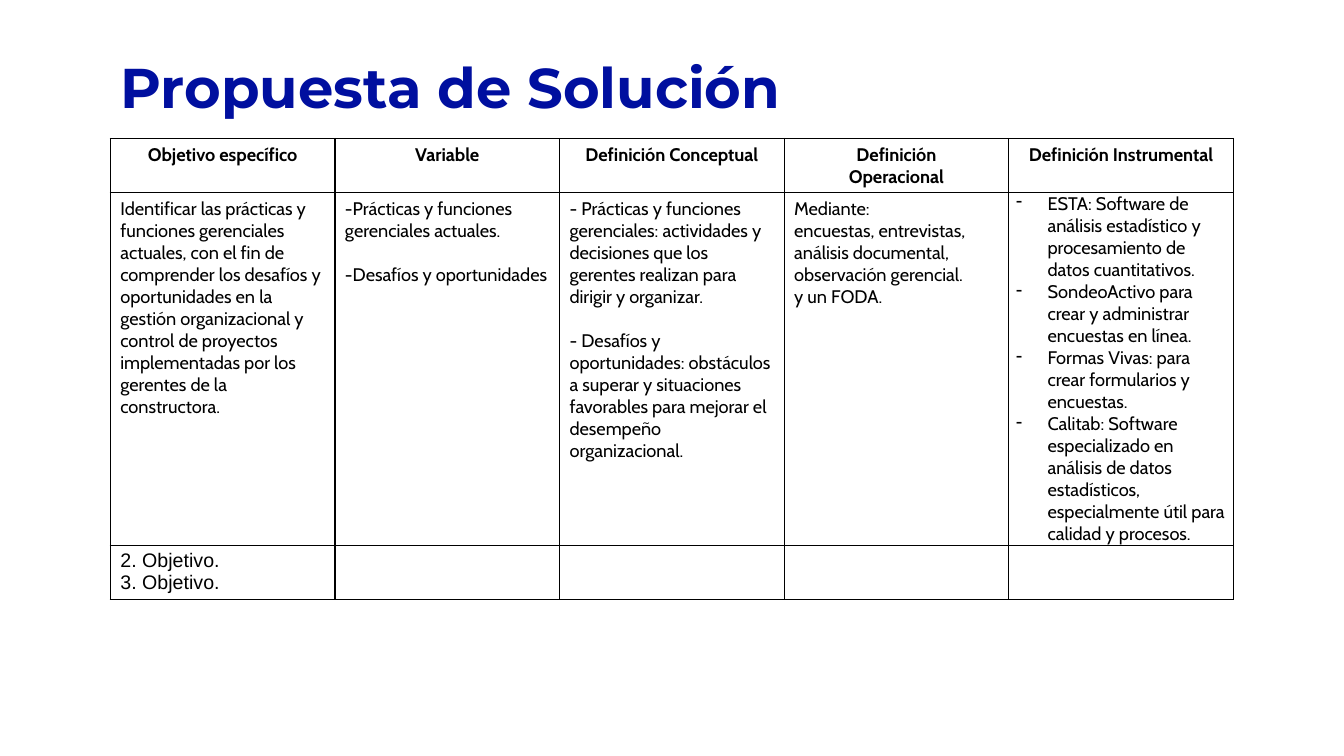
"""Build the slide "Propuesta de Solución" with its table of objectives and variables."""
from dataclasses import dataclass

from lxml.etree import SubElement
from pptx import Presentation
from pptx.dml.color import RGBColor
from pptx.enum.text import MSO_ANCHOR, MSO_AUTO_SIZE, PP_ALIGN
from pptx.oxml.ns import qn
from pptx.util import Cm, Pt


@dataclass(frozen=True)
class Theme:
    title_color: RGBColor = RGBColor(0x00, 0x0F, 0x9F)
    ink: RGBColor = RGBColor(0, 0, 0)
    title_font: str = "Montserrat"
    body_font: str = "Cabin"
    plain_font: str = "Arial"
    title_size: Pt = Pt(40)
    body_size: Pt = Pt(13)
    plain_size: Pt = Pt(14)
    item_gap: Pt = Pt(15.8)
    border: Pt = Pt(1)


theme = Theme()

ROWS = [
    [
        ["Objetivo específico"],
        ["Variable"],
        ["Definición Conceptual"],
        ["Definición", "Operacional"],
        ["Definición Instrumental"],
    ],
    [
        ["Identificar las prácticas y funciones gerenciales actuales, con el fin de "
         "comprender los desafíos y oportunidades en la gestión organizacional y control "
         "de proyectos implementadas por los gerentes de la constructora."],
        ["-Prácticas y funciones gerenciales actuales.", "-Desafíos y oportunidades"],
        ["- Prácticas y funciones gerenciales: actividades y decisiones que los gerentes "
         "realizan para dirigir y organizar.",
         "- Desafíos y oportunidades: obstáculos a superar y situaciones favorables para "
         "mejorar el desempeño organizacional."],
        ["Mediante:",
         "encuestas, entrevistas, análisis documental, observación gerencial.",
         "y un FODA."],
        ["ESTA: Software de análisis estadístico y procesamiento de datos cuantitativos.",
         "SondeoActivo para crear y administrar encuestas en línea.",
         "Formas Vivas: para crear formularios y encuestas.",
         "Calitab: Software especializado en análisis de datos estadísticos, "
         "especialmente útil para calidad y procesos."],
    ],
    [["2. Objetivo.", "3. Objetivo."], [], [], [], []],
]
ROW_HEIGHTS = [Cm(1.36), Cm(8.87), Cm(1.36)]
COLUMN_WIDTH = Cm(5.66)
HEADER, DETAIL, PENDING = range(3)
SPACED_COLUMNS = (1, 2)
TOOLS_COLUMN = 4


def add_borders(cell):
    """Draw the four sides of a table cell."""
    properties = cell._tc.get_or_add_tcPr()
    for side in ("lnL", "lnR", "lnT", "lnB"):
        line = SubElement(properties, qn(f"a:{side}"), w=str(theme.border))
        fill = SubElement(line, qn("a:solidFill"))
        SubElement(fill, qn("a:srgbClr"), val=str(theme.ink))


def add_dash(paragraph):
    """Give a paragraph a hanging dash."""
    properties = paragraph._p.get_or_add_pPr()
    properties.set("marL", str(Cm(0.79)))
    properties.set("indent", str(-Cm(0.79)))
    color = SubElement(properties, qn("a:buClr"))
    SubElement(color, qn("a:srgbClr"), val=str(theme.ink))
    SubElement(properties, qn("a:buChar"), char="-")


presentation = Presentation()
presentation.slide_width = Cm(33.87)
presentation.slide_height = Cm(19.05)
slide = presentation.slides.add_slide(presentation.slide_layouts[5])

title = slide.shapes.title
title.left, title.top, title.width, title.height = Cm(2.78), Cm(1.07), Cm(27.25), Cm(2.41)
title.text_frame.text = "Propuesta de Solución"
title.text_frame.auto_size = MSO_AUTO_SIZE.NONE
title.text_frame.vertical_anchor = MSO_ANCHOR.MIDDLE
heading = title.text_frame.paragraphs[0]
heading.alignment = PP_ALIGN.LEFT
heading.line_spacing = 0.9
heading.font.name = theme.title_font
heading.font.size = theme.title_size
heading.font.bold = True
heading.font.color.rgb = theme.title_color

column_count = len(ROWS[HEADER])
table = slide.shapes.add_table(
    len(ROWS), column_count, Cm(2.78), Cm(3.49), COLUMN_WIDTH * column_count, sum(ROW_HEIGHTS)
).table
table.first_row = False
table.horz_banding = False
for column in table.columns:
    column.width = COLUMN_WIDTH

for row_index, (row, height) in enumerate(zip(ROWS, ROW_HEIGHTS)):
    table.rows[row_index].height = height
    for column_index, lines in enumerate(row):
        cell = table.cell(row_index, column_index)
        add_borders(cell)
        cell.fill.background()
        cell.text_frame.text = "\n".join(lines)
        is_tools = row_index == DETAIL and column_index == TOOLS_COLUMN
        if is_tools:
            cell.margin_left = cell.margin_right = Cm(0.19)
            cell.margin_top = cell.margin_bottom = 0
        for position, paragraph in enumerate(cell.text_frame.paragraphs):
            if is_tools:
                add_dash(paragraph)
            if row_index == HEADER:
                paragraph.alignment = PP_ALIGN.CENTER
            if row_index == DETAIL and column_index in SPACED_COLUMNS and position > 0:
                paragraph.space_before = theme.item_gap
            is_pending = row_index == PENDING
            paragraph.font.name = theme.plain_font if is_pending else theme.body_font
            paragraph.font.size = theme.plain_size if is_pending else theme.body_size
            paragraph.font.bold = row_index == HEADER
            paragraph.font.color.rgb = theme.ink

presentation.save("out.pptx")
